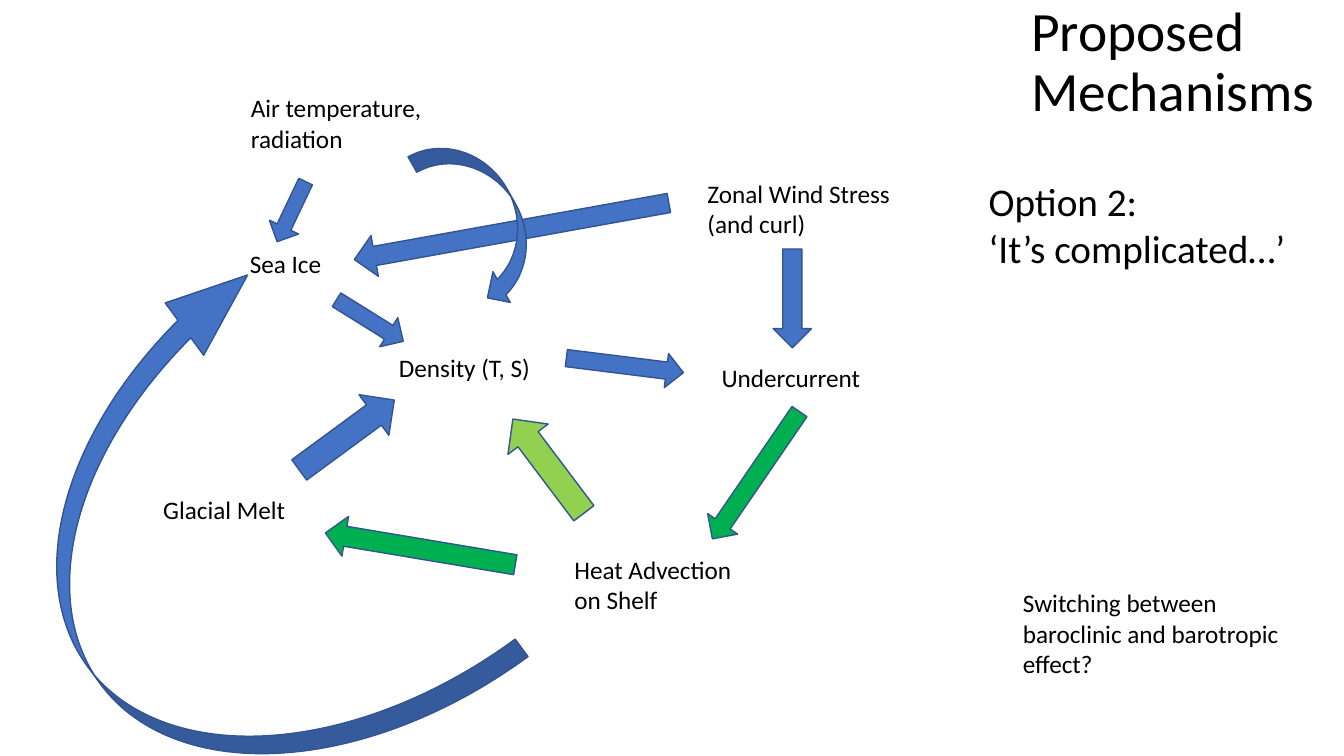
from pptx import Presentation
from pptx.dml.color import RGBColor
from pptx.enum.shapes import MSO_SHAPE
from pptx.enum.text import MSO_ANCHOR, MSO_AUTO_SIZE, PP_ALIGN
from pptx.util import Inches, Pt

STRAIGHT = MSO_SHAPE.DOWN_ARROW
CURVED = MSO_SHAPE.CURVED_DOWN_ARROW
LEFT = PP_ALIGN.LEFT
TOP, MIDDLE = MSO_ANCHOR.TOP, MSO_ANCHOR.MIDDLE
FIT_SHAPE, NO_FIT = MSO_AUTO_SIZE.SHAPE_TO_FIT_TEXT, MSO_AUTO_SIZE.NONE

BLACK = RGBColor(0x00, 0x00, 0x00)
BLUE = RGBColor(0x44, 0x72, 0xC4)
NAVY = RGBColor(0x32, 0x54, 0x91)
GREEN = RGBColor(0x00, 0xB0, 0x50)
LIME = RGBColor(0x92, 0xD0, 0x50)

COLUMNS, ROWS = 160, 90
SLIDE_WIDTH, SLIDE_HEIGHT = Inches(13.3333), Inches(7.5)

ONE_LINE, TWO_LINES = 4.8, 8.52
WIDE, NARROW = 24.84, 18.6
SHARP_HEAD = (0.468, 0.5)

LABELS = [
    ("Zonal Wind Stress (and curl)", (83.04, 20.64, WIDE, TWO_LINES), 18),
    ("Undercurrent", (84.72, 42.6, WIDE, ONE_LINE), 18),
    ("Heat Advection on Shelf", (67.2, 65.4, WIDE, TWO_LINES), 18),
    ("Glacial Melt", (18.24, 58.32, NARROW, ONE_LINE), 18),
    ("Density (T, S)", (46.32, 41.4, WIDE, ONE_LINE), 18),
    ("Air temperature, radiation", (28.68, 10.44, WIDE, TWO_LINES), 18),
    ("Sea Ice", (28.56, 28.92, NARROW, ONE_LINE), 18),
    ("Option 2:\n‘It’s complicated…’", (116.52, 20.52, 38.28, 12.48), 28),
    ("Switching between baroclinic and barotropic effect?",
     (120.6, 69.36, 34.32, 12.12), 18),
]

ARROWS = [
    (STRAIGHT, (92.04, 29.64, 4.56, 11.76), 0, BLUE, ()),
    (STRAIGHT, (87.84, 47.4, 4.32, 18.36), 34.4, GREEN, ()),
    (STRAIGHT, (47.64, 53.88, 4.8, 22.92), 99.5, GREEN, ()),
    (STRAIGHT, (38.28, 44.76, 6, 14.04), 233.7, BLUE, ()),
    (STRAIGHT, (72.36, 36.48, 4.08, 14.04), 277.1, BLUE, ()),
    (STRAIGHT, (62.28, 48.48, 6, 14.04), 143, LIME, ()),
    (STRAIGHT, (32.76, 21.24, 3.84, 7.92), 25.4, BLUE, SHARP_HEAD),
    (STRAIGHT, (58.44, 8.52, 4.92, 38.04), 79.8, BLUE, SHARP_HEAD),
    (STRAIGHT, (42, 33.48, 4.08, 9.36), 301.9, BLUE, SHARP_HEAD),
    (CURVED, (-2.4, 45.12, 60.24, 42.96), 233.7, BLUE, (0.06, 0.18, 0.23)),
    (CURVED, (46.8, 21.72, 21.36, 8.4), 60.6, BLUE, ()),
]


def set_all(target, values):
    for attribute, value in values.items():
        setattr(target, attribute, value)


def on_grid(cells):
    column, row, width, height = cells
    return (round(column * SLIDE_WIDTH / COLUMNS), round(row * SLIDE_HEIGHT / ROWS),
            round(width * SLIDE_WIDTH / COLUMNS), round(height * SLIDE_HEIGHT / ROWS))


def write(frame, wording, size, frame_format, spacing=1.0):
    frame.text = wording
    set_all(frame, {"word_wrap": True, **frame_format})
    for paragraph in frame.paragraphs:
        set_all(paragraph, {"alignment": LEFT, "line_spacing": spacing})
        for run in paragraph.runs:
            set_all(run.font, {"name": "Calibri", "size": Pt(size)})
            run.font.color.rgb = BLACK


def add_title(slide, wording, cells):
    title = slide.shapes.title
    set_all(title, dict(zip(("left", "top", "width", "height"), on_grid(cells))))
    write(title.text_frame, wording, 39.6,
          {"vertical_anchor": MIDDLE, "auto_size": NO_FIT}, 0.9)


def add_label(slide, wording, cells, size):
    label = slide.shapes.add_textbox(*on_grid(cells))
    write(label.text_frame, wording, size,
          {"vertical_anchor": TOP, "auto_size": FIT_SHAPE})


def add_arrow(slide, kind, cells, angle, colour, proportions):
    arrow = slide.shapes.add_shape(kind, *on_grid(cells))
    arrow.rotation = angle
    arrow.shadow.inherit = False
    arrow.fill.solid()
    arrow.fill.fore_color.rgb = colour
    arrow.line.color.rgb = NAVY
    arrow.line.width = Pt(1)
    for index, proportion in enumerate(proportions):
        arrow.adjustments[index] = proportion


def main():
    deck = Presentation()
    set_all(deck, {"slide_width": SLIDE_WIDTH, "slide_height": SLIDE_HEIGHT})
    slide = deck.slides.add_slide(deck.slide_layouts.get_by_name("Title Only"))
    add_title(slide, "Proposed Mechanisms", (121.56, 2.88, 57.6, 9.36))
    for label in LABELS:
        add_label(slide, *label)
    for arrow in ARROWS:
        add_arrow(slide, *arrow)
    deck.save("out.pptx")


if __name__ == "__main__":
    main()
